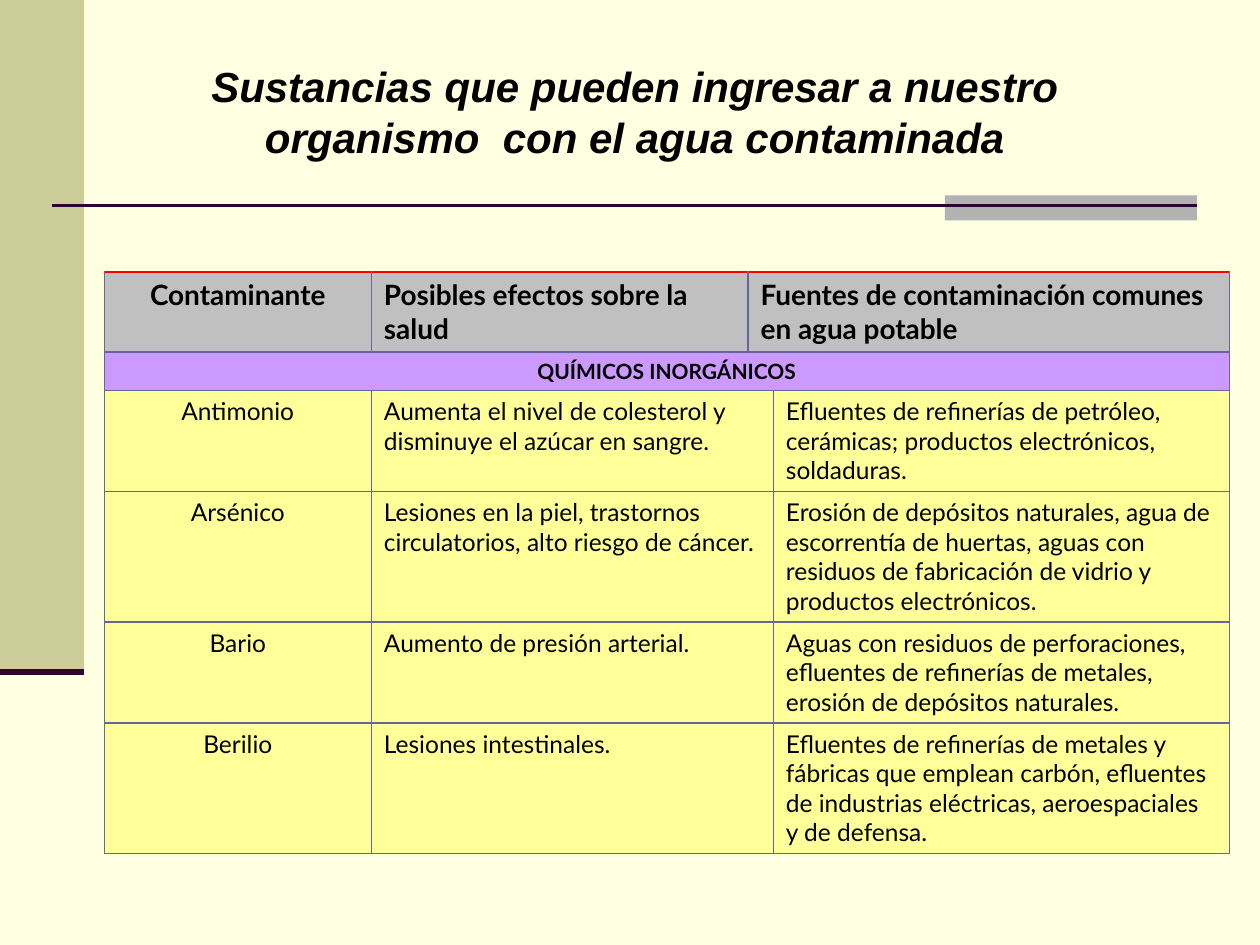
from pptx import Presentation
from pptx.dml.color import RGBColor
from pptx.enum.shapes import MSO_CONNECTOR, MSO_SHAPE
from pptx.enum.text import MSO_ANCHOR, PP_ALIGN
from pptx.oxml import parse_xml
from pptx.oxml.ns import nsdecls
from pptx.util import Pt

HEADERS = ["Contaminante", "Posibles efectos sobre la salud",
           "Fuentes de contaminación comunes en agua potable"]
SECTION = "QUÍMICOS INORGÁNICOS"
CONTAMINANTS = [
    ["Antimonio",
     "Aumenta el nivel de colesterol y disminuye el azúcar en sangre.",
     "Efluentes de refinerías de petróleo, cerámicas; productos electrónicos, soldaduras."],
    ["Arsénico",
     "Lesiones en la piel, trastornos circulatorios, alto riesgo de cáncer.",
     "Erosión de depósitos naturales, agua de escorrentía de huertas, aguas con residuos "
     "de fabricación de vidrio y productos electrónicos."],
    ["Bario",
     "Aumento de presión arterial.",
     "Aguas con residuos de perforaciones, efluentes de refinerías de metales, "
     "erosión de depósitos naturales."],
    ["Berilio",
     "Lesiones intestinales.",
     "Efluentes de refinerías de metales y fábricas que emplean carbón, efluentes de "
     "industrias eléctricas, aeroespaciales y de defensa."],
]
COL_WIDTHS = [152.6, 215.3, 14.4, 260.6]
ROW_HEIGHTS = [45.2, 22, 57.4, 74.6, 57.4, 74.6]


def color(value):
    """Return the colour of a hex string."""
    return RGBColor.from_string(value)


def style(p, font, size, align, bold, italic=False):
    """Set the font and alignment of a paragraph."""
    p.alignment = align
    p.font.name, p.font.size = font, Pt(size)
    p.font.bold, p.font.italic = bold, italic
    p.font.color.rgb = color("000000")


def add_rect(s, x, y, w, h, fill):
    """Add a plain filled rectangle."""
    sp = s.shapes.add_shape(MSO_SHAPE.RECTANGLE, Pt(x), Pt(y), Pt(w), Pt(h))
    sp.shadow.inherit = False
    sp.fill.solid()
    sp.fill.fore_color.rgb = color(fill)
    sp.line.fill.background()


def add_rule(s, x, y, w, weight):
    """Add a horizontal dark line."""
    line = s.shapes.add_connector(MSO_CONNECTOR.STRAIGHT, Pt(x), Pt(y), Pt(x + w), Pt(y))
    line.line.color.rgb = color("330033")
    line.line.width = Pt(weight)
    line._element.spPr.append(parse_xml(f"<a:effectLst {nsdecls('a')}/>"))


def add_side_band(s, x, y, w, h):
    """Add the left band closed by a thick line."""
    add_rect(s, x, y, w, h, "CCCC99")
    add_rule(s, x, y + h, w, 3.5)


def add_divider(s, x, y, w, h):
    """Add the line under the title with its grey block at the right end."""
    block = 144
    add_rect(s, x + w - block, y, block, h, "B2B2B2")
    add_rule(s, x, y + 0.4 * h, w, 1.5)


def add_title(s, x, y, w, h, text):
    """Add the centred slide title."""
    tf = s.shapes.add_textbox(Pt(x), Pt(y), Pt(w), Pt(h)).text_frame
    tf.word_wrap = True
    tf.vertical_anchor = MSO_ANCHOR.MIDDLE
    p = tf.paragraphs[0]
    p.text = text
    style(p, "Arial", 24, PP_ALIGN.CENTER, True, True)


def add_borders(cell, top):
    """Draw the four borders of a cell ahead of its fill."""
    sides = {"lnL": "666699", "lnR": "666699", "lnT": top, "lnB": "666699"}
    tc_pr = cell._tc.get_or_add_tcPr()
    for i, (side, value) in enumerate(sides.items()):
        tc_pr.insert(i, parse_xml(
            f'<a:{side} {nsdecls("a")} w="12700"><a:solidFill>'
            f'<a:srgbClr val="{value}"/></a:solidFill></a:{side}>'))


def fill_cell(cell, text, size, centred, bold):
    """Write the text of a cell."""
    p = cell.text_frame.paragraphs[0]
    p.text = text
    style(p, "Lato", size, PP_ALIGN.CENTER if centred else PP_ALIGN.LEFT, bold)


def add_contaminant_table(s, x, y, w, h):
    """Add the table of contaminants, their effects and sources."""
    table = s.shapes.add_table(len(ROW_HEIGHTS), len(COL_WIDTHS),
                               Pt(x), Pt(y), Pt(w), Pt(h)).table
    table.first_row = table.horz_banding = False
    for col, width in zip(table.columns, COL_WIDTHS):
        col.width = Pt(width)
    for row, height in zip(table.rows, ROW_HEIGHTS):
        row.height = Pt(height)
    fills = ["C0C0C0", "CC99FF"] + ["FFFF99"] * len(CONTAMINANTS)
    for i, fill in enumerate(fills):
        for cell in table.rows[i].cells:
            cell.fill.solid()
            cell.fill.fore_color.rgb = color(fill)
            add_borders(cell, "666699" if i else "FF0000")
    table.cell(0, 2).merge(table.cell(0, 3))
    for j, text in enumerate(HEADERS):
        fill_cell(table.cell(0, j), text, 16, j == 0, True)
    section = table.cell(1, 0)
    section.merge(table.cell(1, 3))
    section.vertical_anchor = MSO_ANCHOR.BOTTOM
    fill_cell(section, SECTION, 12, True, True)
    for i, texts in enumerate(CONTAMINANTS, 2):
        table.cell(i, 1).merge(table.cell(i, 2))
        for j, text in zip((0, 1, 3), texts):
            fill_cell(table.cell(i, j), text, 14, j == 0, False)


def build_slide(prs):
    """Build the slide on contaminants in water."""
    s = prs.slides.add_slide(prs.slide_layouts[6])
    s.background.fill.solid()
    s.background.fill.fore_color.rgb = color("FFFFE1")
    add_side_band(s, 0, 0, 48, 384)
    add_divider(s, 30, 111.6, 654, 14.4)
    add_title(s, 82, 31, 561.6, 65,
              "Sustancias que pueden ingresar a nuestro organismo  con el agua contaminada")
    add_contaminant_table(s, 59.6, 155.5, sum(COL_WIDTHS), sum(ROW_HEIGHTS))


prs = Presentation()
prs.slide_width, prs.slide_height = Pt(720), Pt(540)
build_slide(prs)
prs.save("out.pptx")
